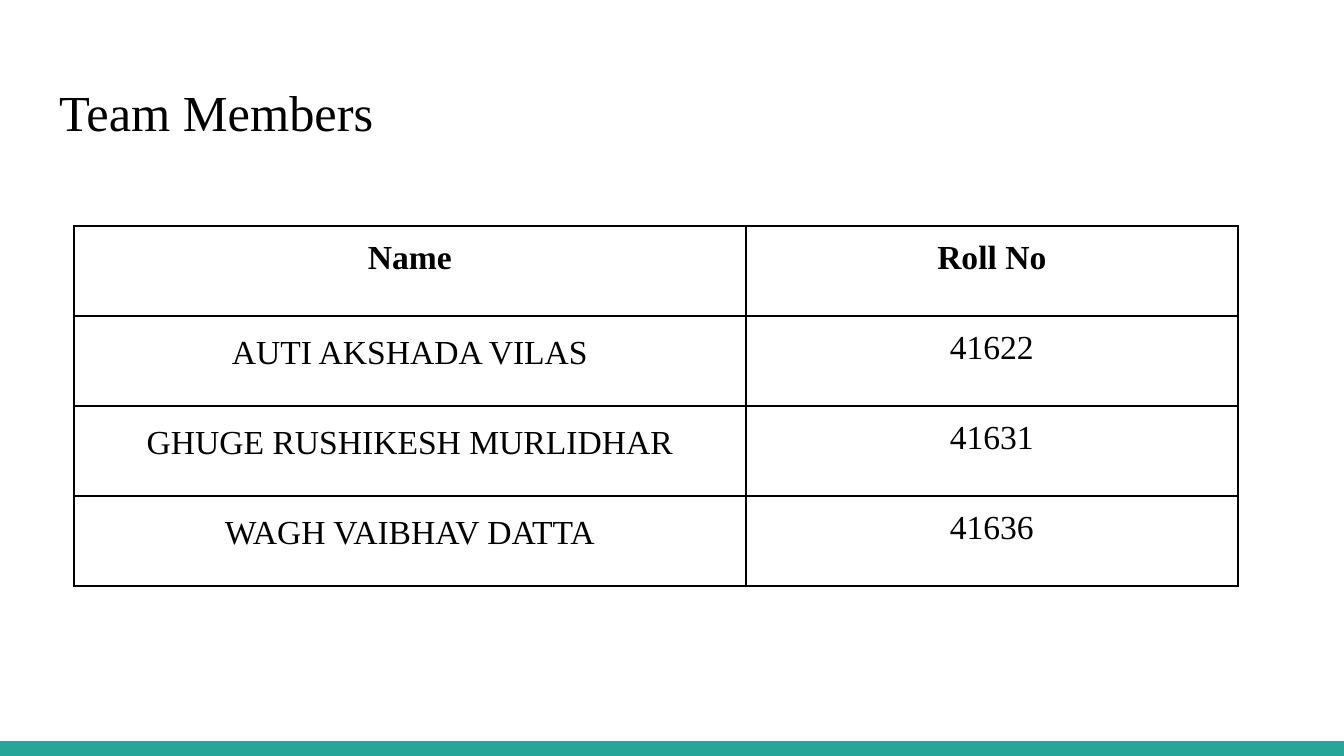
from lxml.etree import SubElement
from pptx import Presentation
from pptx.dml.color import RGBColor
from pptx.enum.shapes import MSO_SHAPE as Shape
from pptx.enum.text import MSO_ANCHOR as Anchor, PP_ALIGN as Align
from pptx.oxml.ns import qn
from pptx.util import Inches, Pt

BLACK = RGBColor(0x00, 0x00, 0x00)
TEAL = RGBColor(0x26, 0xA6, 0x9A)
FONT = "Times New Roman"
INSET = Inches(0.1)
BORDER = Pt(1.5)
COLUMN_WIDTHS = (5, 3.66)
ROW_HEIGHT = 0.67
MEMBERS = [
    ("Name", "Roll No"),
    ("AUTI AKSHADA VILAS", "41622"),
    ("GHUGE RUSHIKESH MURLIDHAR", "41631"),
    ("WAGH VAIBHAV DATTA", "41636"),
]


def style_text(paragraph, size, bold=False):
    for run in paragraph.runs:
        run.font.name = FONT
        run.font.size = Pt(size)
        run.font.bold = bold
        run.font.color.rgb = BLACK


def set_insets(holder):
    holder.margin_left = holder.margin_right = INSET
    holder.margin_top = holder.margin_bottom = INSET


def add_footer_bar(slide, left, top, width, height):
    bar = slide.shapes.add_shape(Shape.RECTANGLE, left, top, width, height)
    bar.shadow.inherit = False
    bar.fill.solid()
    bar.fill.fore_color.rgb = TEAL
    bar.line.fill.background()


def place_heading(slide, left, top, width, height):
    heading = slide.shapes.title
    heading.left, heading.top = left, top
    heading.width, heading.height = width, height
    frame = heading.text_frame
    frame.text = "Team Members"
    frame.word_wrap = True
    frame.vertical_anchor = Anchor.MIDDLE
    set_insets(frame)
    frame.paragraphs[0].alignment = Align.LEFT
    style_text(frame.paragraphs[0], 27)


def draw_borders(cell):
    properties = cell._tc.get_or_add_tcPr()
    for position, side in enumerate(("a:lnL", "a:lnR", "a:lnT", "a:lnB")):
        border = SubElement(properties, qn(side), w=str(BORDER))
        fill = SubElement(border, qn("a:solidFill"))
        SubElement(fill, qn("a:srgbClr"), val=str(BLACK))
        properties.insert(position, border)


def add_member_table(slide, left, top, width, height):
    rows, columns = len(MEMBERS), len(COLUMN_WIDTHS)
    members = slide.shapes.add_table(rows, columns, left, top, width, height).table
    members.first_row = members.horz_banding = False
    for column, share in zip(members.columns, COLUMN_WIDTHS):
        column.width = int(width * share / sum(COLUMN_WIDTHS))
    for r, member in enumerate(MEMBERS):
        members.rows[r].height = height // rows
        for c, entry in enumerate(member):
            cell = members.cell(r, c)
            cell.text_frame.text = entry
            cell.fill.background()
            set_insets(cell)
            draw_borders(cell)
            paragraph = cell.text_frame.paragraphs[0]
            paragraph.alignment = Align.CENTER
            style_text(paragraph, 18, bold=r == 0)
            if r > 0 and c == 0:
                paragraph.line_spacing = 1.15
                paragraph.space_after = Pt(12)


def main():
    deck = Presentation()
    deck.slide_width = Inches(10)
    deck.slide_height = deck.slide_width * 9 // 16
    slide = deck.slides.add_slide(deck.slide_layouts[5])
    bar_height = Inches(0.11)
    add_footer_bar(slide, 0, deck.slide_height - bar_height, deck.slide_width, bar_height)
    place_heading(slide, Inches(0.34), Inches(0.49), Inches(9.32), Inches(0.67))
    add_member_table(slide, Inches(0.55), Inches(1.68),
                     Inches(sum(COLUMN_WIDTHS)), Inches(ROW_HEIGHT * len(MEMBERS)))
    deck.save("out.pptx")


if __name__ == "__main__":
    main()
